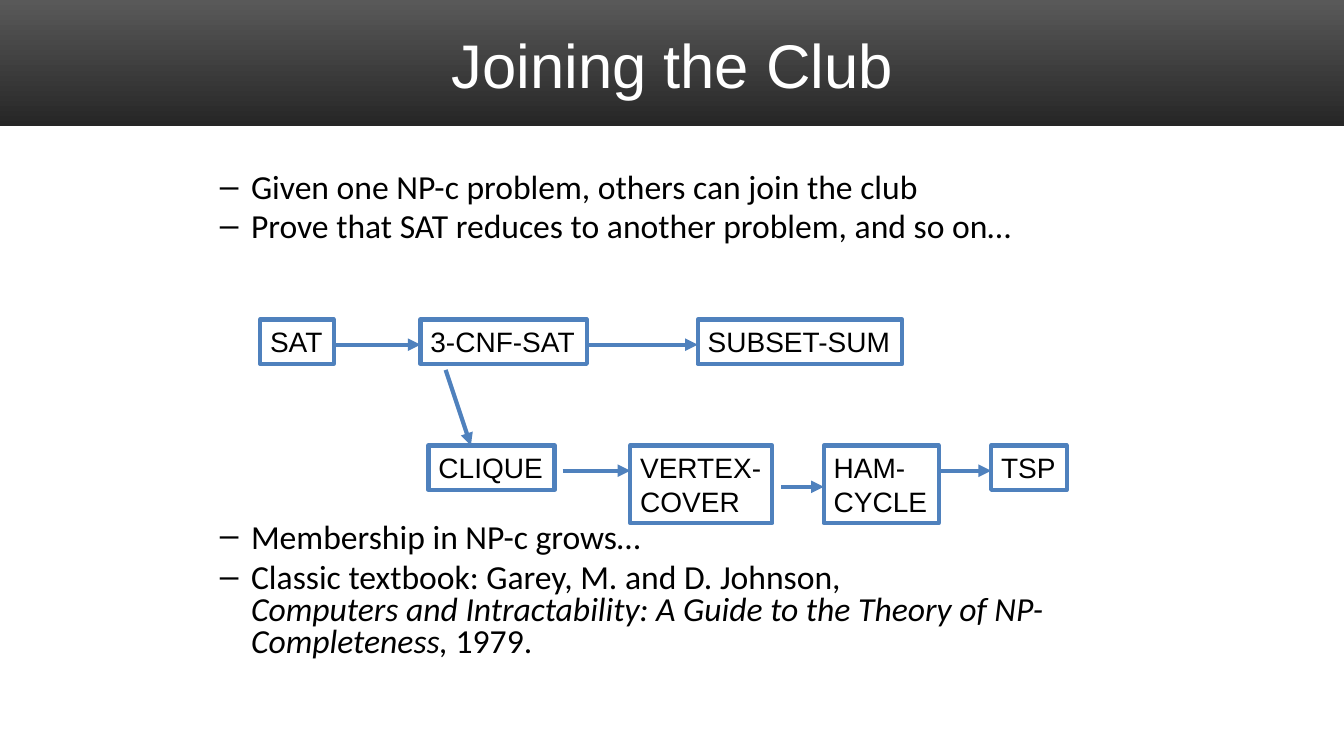
"""Build the "Joining the Club" slide on NP-complete reductions."""
from lxml import etree
from pptx import Presentation
from pptx.dml.color import RGBColor
from pptx.enum.shapes import MSO_CONNECTOR, MSO_SHAPE
from pptx.enum.text import MSO_ANCHOR, MSO_AUTO_SIZE, PP_ALIGN
from pptx.oxml.ns import qn
from pptx.util import Inches, Pt

RECTANGLE = MSO_SHAPE.RECTANGLE
STRAIGHT = MSO_CONNECTOR.STRAIGHT
TOP, MIDDLE = MSO_ANCHOR.TOP, MSO_ANCHOR.MIDDLE
LEFT, CENTER = PP_ALIGN.LEFT, PP_ALIGN.CENTER
NO_AUTOFIT = MSO_AUTO_SIZE.NONE
BLUE, BLACK, WHITE = "4F81BD", "000000", "FFFFFF"
UPPER_ROW, LOWER_ROW = 3.17, 4.42
ONE_LINE, TWO_LINES = 0.44, 0.77


def color(value):
    return RGBColor.from_string(value)


def format_runs(paragraph, font_name, size, value):
    for run in paragraph.runs:
        run.font.name = font_name
        run.font.size = Pt(size)
        run.font.color.rgb = color(value)


presentation = Presentation()
presentation.slide_width = Inches(13.33)
presentation.slide_height = Inches(7.5)
slide = presentation.slides.add_slide(presentation.slide_layouts[1])
title, body = slide.placeholders

banner = slide.shapes.add_shape(RECTANGLE, 0, 0, Inches(13.33), Inches(1.25))
banner.shadow.inherit = False
banner.line.fill.background()
banner.fill.gradient()
banner.fill.gradient_angle = 270
for stop, value in zip(banner.fill.gradient_stops, ("595959", "262626")):
    stop.color.rgb = color(value)
title._element.addprevious(banner._element)

title.left, title.top = Inches(0.67), Inches(0.17)
title.width, title.height = Inches(12), Inches(0.92)
title.text_frame.text = "Joining the Club"
title.text_frame.auto_size = NO_AUTOFIT
title.text_frame.vertical_anchor = MIDDLE
title.text_frame.paragraphs[0].alignment = CENTER
format_runs(title.text_frame.paragraphs[0], "Arial", 44, WHITE)

body.left, body.top = Inches(1.58), Inches(1.67)
body.width, body.height = Inches(9.83), Inches(5.33)
body_frame = body.text_frame
body_frame.auto_size = NO_AUTOFIT
body_frame.vertical_anchor = TOP
body_frame.text = "\n".join([
    "Given one NP-c problem, others can join the club",
    "Prove that SAT reduces to another problem, and so on…",
    "Membership in NP-c grows…",
    "Classic textbook: Garey, M. and D. Johnson,\v",
])
opening, reduction, membership, textbook = body_frame.paragraphs
book_title = textbook.add_run()
book_title.text = "Computers and Intractability: A Guide to the Theory of NP-Completeness,"
book_title.font.italic = True
textbook.add_run().text = " 1979."

for paragraph in body_frame.paragraphs:
    level, size, margin, indent = (1, 24, 0.81, -0.31)
    if paragraph is opening:
        level, size, margin, indent = (0, 28, 0.38, -0.38)
    paragraph.level = level
    paragraph.line_spacing = 0.8
    properties = paragraph._p.get_or_add_pPr()
    properties.set("marL", str(Inches(margin)))
    properties.set("indent", str(Inches(indent)))
    format_runs(paragraph, "Calibri", size, BLACK)
opening.space_before = Pt(0)
membership.space_before = Pt(199)

problems = [
    ("SAT", 2.58, UPPER_ROW, 0.73, ONE_LINE),
    ("3-CNF-SAT", 4.17, UPPER_ROW, 1.65, ONE_LINE),
    ("SUBSET-SUM", 6.92, UPPER_ROW, 2.03, ONE_LINE),
    ("CLIQUE", 4.25, LOWER_ROW, 1.25, ONE_LINE),
    ("VERTEX-\vCOVER", 6.25, LOWER_ROW, 1.41, TWO_LINES),
    ("HAM-\vCYCLE", 8.17, LOWER_ROW, 1.14, TWO_LINES),
    ("TSP", 9.83, LOWER_ROW, 0.75, ONE_LINE),
]
for name, *bounds in problems:
    box = slide.shapes.add_shape(RECTANGLE, *map(Inches, bounds))
    box.shadow.inherit = False
    box.fill.background()
    box.line.color.rgb = color(BLUE)
    box.line.width = Pt(3)
    box.text_frame.text = name
    box.text_frame.word_wrap = False
    box.text_frame.vertical_anchor = TOP
    box.text_frame.paragraphs[0].alignment = LEFT
    format_runs(box.text_frame.paragraphs[0], "Arial", 20, BLACK)

reductions = [
    (3.33, 3.42, 4.17, 3.42),
    (5.83, 3.42, 6.92, 3.42),
    (4.42, 3.67, 4.67, 4.42),
    (5.58, 4.67, 6.25, 4.67),
    (7.75, 4.83, 8.17, 4.83),
    (9.33, 4.67, 9.83, 4.67),
]
for ends in reductions:
    arrow = slide.shapes.add_connector(STRAIGHT, *map(Inches, ends))
    arrow.line.color.rgb = color(BLUE)
    arrow.line.width = Pt(3)
    etree.SubElement(arrow.line._get_or_add_ln(), qn("a:tailEnd"), type="triangle")
    etree.SubElement(arrow._element.spPr, qn("a:effectLst"))

presentation.save("out.pptx")
